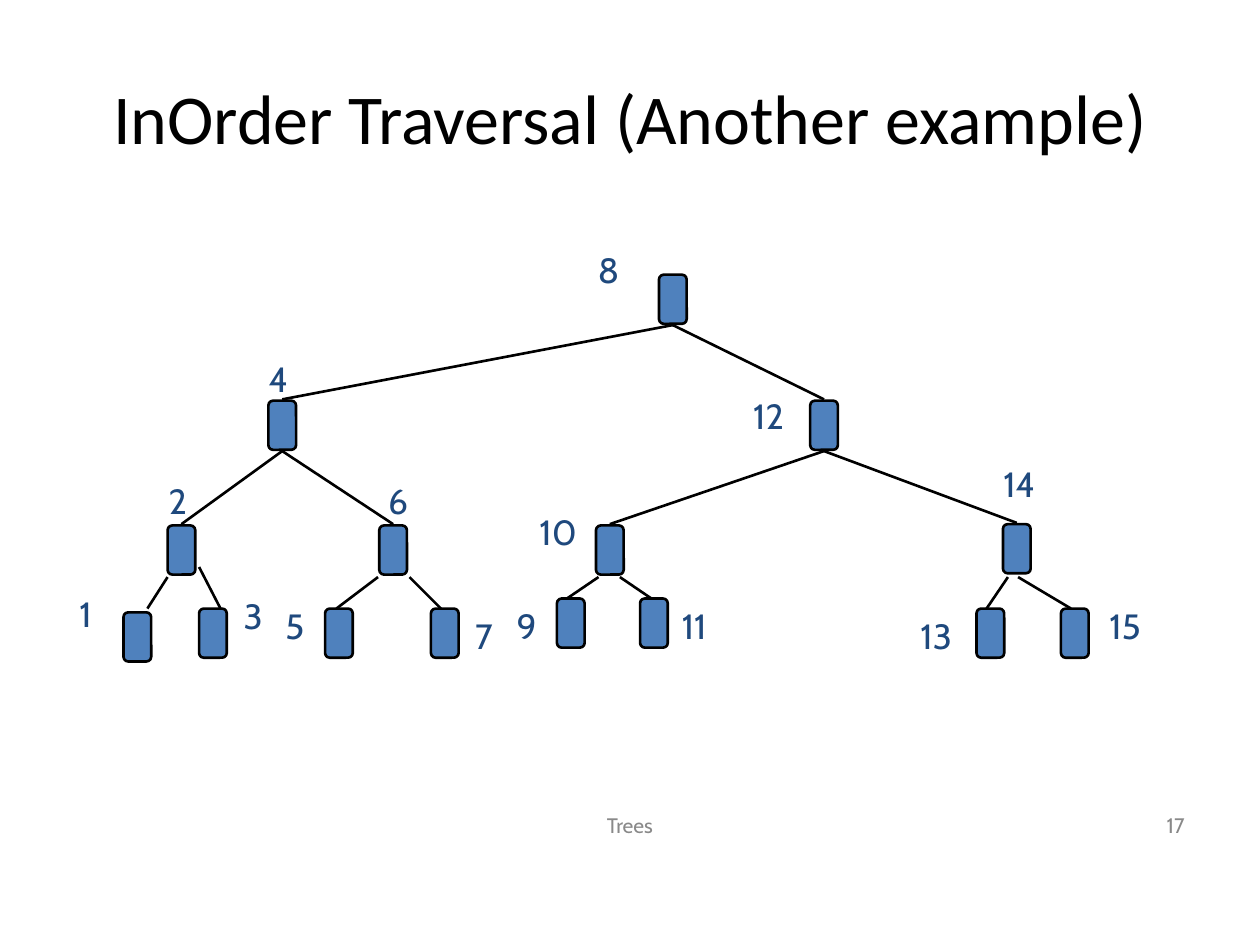
from collections import namedtuple

from lxml import etree
from pptx import Presentation
from pptx import util as u
from pptx.dml.color import RGBColor
from pptx.enum import shapes, text
from pptx.oxml import ns

WIDTH, HEIGHT = 10, 7.5
COLUMNS, ROWS = 87, 34  # grid of the tree region
NODE_WIDTH, NODE_HEIGHT = 2.2, 3.9  # in grid cells
LABEL_WIDTH, LABEL_HEIGHT = 5.2, 4.4
EDGE_GAP = 0.1

Box = namedtuple("Box", "left top width height")
Node = namedtuple("Node", "centre top label_centre label_top")

# Keyed by in-order number, measured in grid cells
NODES = {
    8: Node(48.4, 2.8, 43.3, 0.2),
    4: Node(17.4, 12.8, 17.1, 8.9),
    12: Node(60.4, 12.8, 56, 11.8),
    2: Node(9.4, 22.7, 9.1, 18.6),
    6: Node(26.2, 22.7, 26.6, 18.6),
    10: Node(43.4, 22.7, 39.3, 21),
    14: Node(75.7, 22.6, 75.9, 17.2),
    1: Node(5.9, 29.6, 1.8, 27.5),
    3: Node(11.9, 29.3, 15.1, 27.7),
    5: Node(21.9, 29.3, 18.4, 28.5),
    7: Node(30.3, 29.3, 33.4, 29.3),
    9: Node(40.3, 28.5, 36.8, 28.5),
    11: Node(46.9, 28.5, 50.1, 28.5),
    13: Node(73.6, 29.3, 69.3, 29.3),
    15: Node(80.3, 29.3, 84.3, 28.5),
}

# Start and end of the edge above each leaf
LEAF_EDGES = {
    1: (8.3, 26.8, 6.7, 29.3),
    3: (10.8, 26, 12.5, 29.3),
    5: (25, 26.8, 21.7, 29.3),
    7: (27.5, 26.8, 30, 29.3),
    9: (42.5, 26.8, 40, 28.5),
    11: (44.2, 26.8, 46.7, 28.5),
    13: (75, 26.8, 73.3, 29.3),
    15: (75.8, 26.8, 80, 29.3),
}


def colour(code):
    return RGBColor.from_string(code)


def inches(*lengths):
    return [u.Inches(length) for length in lengths]


def add_text(page, box, words, size=20, font="Cabin", ink="1F497D",
             align=text.PP_ALIGN.CENTER, anchor=text.MSO_ANCHOR.MIDDLE):
    frame = page.shapes.add_textbox(*inches(*box)).text_frame
    frame.word_wrap = True
    frame.vertical_anchor = anchor
    para = frame.paragraphs[0]
    para.alignment = align
    span = para.add_run()
    span.text = words
    span.font.size = u.Pt(size)
    span.font.name = font
    span.font.color.rgb = colour(ink)


def set_outline(shape):
    shape.line.color.rgb = colour("000000")
    shape.line.width = u.Pt(1.5)


def add_edge(page, *ends):
    edge = page.shapes.add_connector(shapes.MSO_CONNECTOR.STRAIGHT, *inches(*ends))
    set_outline(edge)
    etree.SubElement(edge._element.spPr, ns.qn("a:effectLst"))


def add_node(page, box):
    node = page.shapes.add_shape(shapes.MSO_SHAPE.ROUNDED_RECTANGLE, *inches(*box))
    node.adjustments[0] = 0.17
    node.shadow.inherit = False
    node.fill.solid()
    node.fill.fore_color.rgb = colour("4F81BD")
    set_outline(node)


def edge_ends(value):
    """Edge from the parent; in-order numbers give the parent by bits."""
    if value in LEAF_EDGES:
        return LEAF_EDGES[value]
    step = value & -value
    parent = NODES[(value - step) | (2 * step)]
    child = NODES[value]
    return (parent.centre, parent.top + NODE_HEIGHT + EDGE_GAP,
            child.centre, child.top - EDGE_GAP)


def draw_tree(page, box):
    column, row = box.width / COLUMNS, box.height / ROWS

    def point(x, y):
        return box.left + x * column, box.top + y * row

    def cell(centre, top, width, height):
        return Box(*point(centre - width / 2, top), width * column, height * row)

    for value, node in NODES.items():
        add_node(page, cell(node.centre, node.top, NODE_WIDTH, NODE_HEIGHT))
        if value != 8:
            x1, y1, x2, y2 = edge_ends(value)
            add_edge(page, *point(x1, y1), *point(x2, y2))
    for value, node in NODES.items():
        label = cell(node.label_centre, node.label_top, LABEL_WIDTH, LABEL_HEIGHT)
        add_text(page, label, str(value), anchor=text.MSO_ANCHOR.TOP)


def draw_footer(page, box):
    middle = Box(box.left + 0.32 * box.width, box.top, 0.36 * box.width, box.height)
    right = Box(box.left + 0.74 * box.width, box.top, 0.26 * box.width, box.height)
    add_text(page, middle, "Trees", size=12, ink="898989")
    add_text(page, right, "17", size=12, ink="898989", align=text.PP_ALIGN.RIGHT)


def main():
    deck = Presentation()
    deck.slide_width, deck.slide_height = inches(WIDTH, HEIGHT)
    page = deck.slides.add_slide(deck.slide_layouts[6])
    margin = 0.05 * WIDTH
    inner = WIDTH - 2 * margin
    add_text(page, Box(margin, 0.04 * HEIGHT, inner, 1.25),
             "InOrder Traversal (Another example)",
             size=40, font="Calibri", ink="000000")
    draw_tree(page, Box(margin, 1.9, 0.87 * WIDTH, 3.4))
    draw_footer(page, Box(margin, 6.35, inner, 0.4))
    deck.save("out.pptx")


if __name__ == "__main__":
    main()
